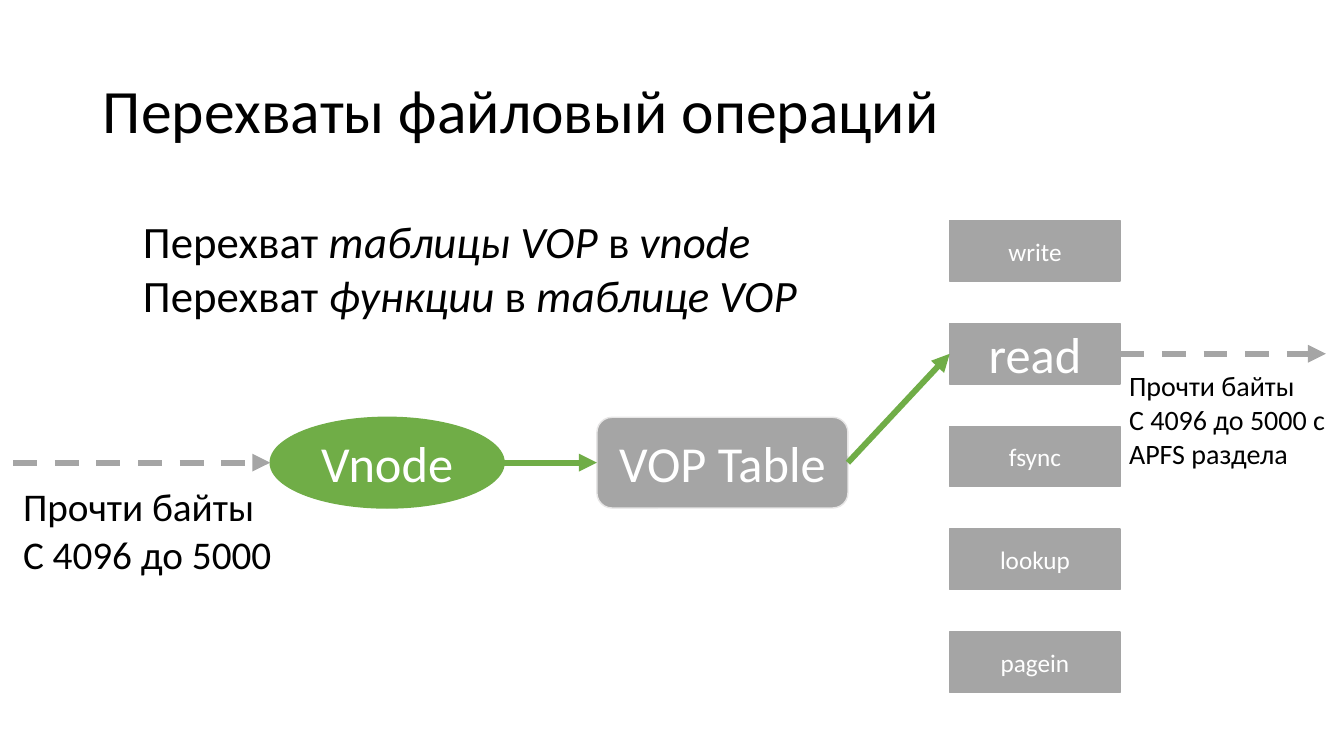
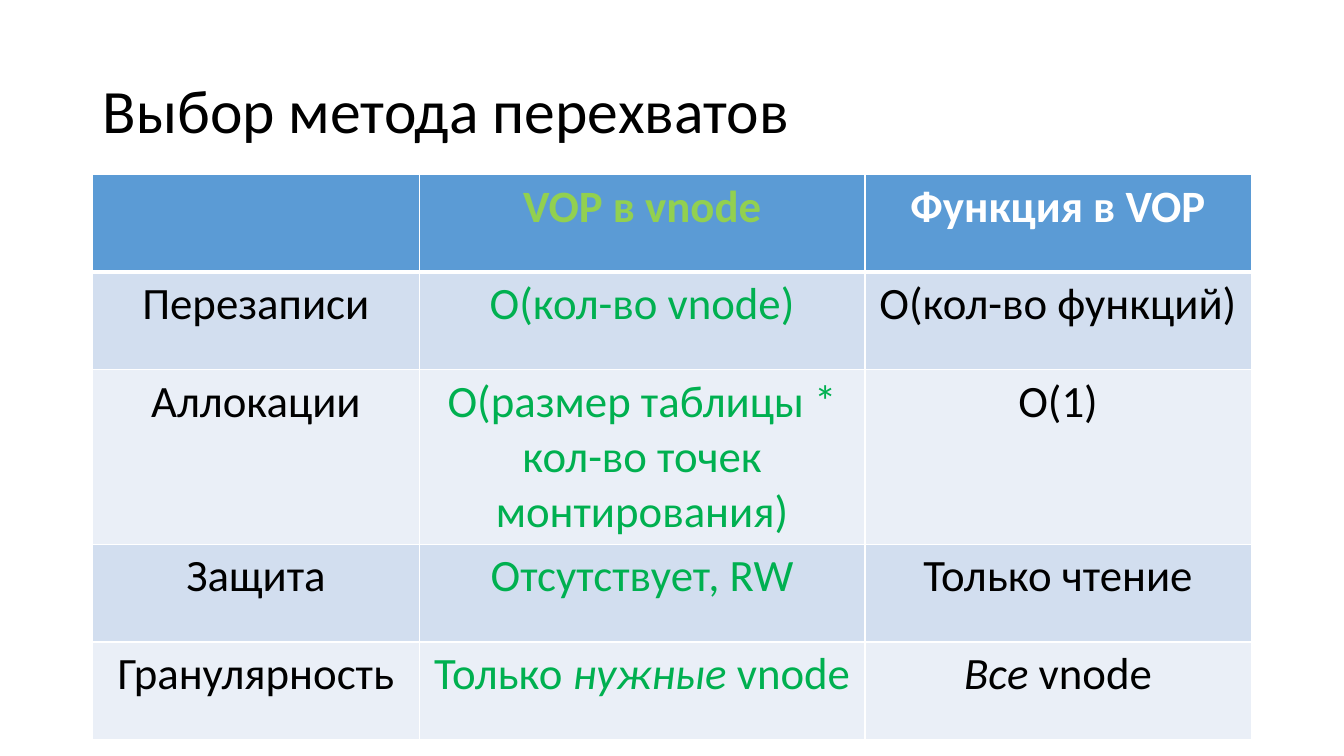
from pptx import Presentation
from pptx.dml.color import RGBColor
from pptx.enum.dml import MSO_LINE
from pptx.enum.shapes import MSO_CONNECTOR, MSO_SHAPE
from pptx.enum.text import MSO_ANCHOR, MSO_AUTO_SIZE, PP_ALIGN
from pptx.oxml import parse_xml
from pptx.oxml.ns import nsdecls, qn
from pptx.util import Inches, Pt
from lxml.etree import SubElement

BLACK = RGBColor(0x00, 0x00, 0x00)
WHITE = RGBColor(0xFF, 0xFF, 0xFF)
GREEN = RGBColor(0x70, 0xAD, 0x47)
GRAY = RGBColor(0xA5, 0xA5, 0xA5)
PALE = RGBColor(0xE7, 0xE6, 0xE6)
BLUE = RGBColor(0x5B, 0x9B, 0xD5)
LIME = RGBColor(0x92, 0xD0, 0x50)
LEAF = RGBColor(0x00, 0xB0, 0x50)
BAND = RGBColor(0xD2, 0xDE, 0xEF)
MIST = RGBColor(0xEA, 0xEF, 0xF7)

TITLES = ["Перехваты файловый операций", "Выбор метода перехватов"]


def write(frame, text, size, color, align=PP_ALIGN.LEFT, bold=False):
    """Fill a text frame; text between underscores is italic."""
    for row, line in enumerate(text.split("\n")):
        para = frame.add_paragraph() if row else frame.paragraphs[0]
        para.alignment = align
        for part, words in enumerate(line.split("_")):
            if not words:
                continue
            run = para.add_run()
            run.text = words
            style = {"name": "Calibri", "size": Pt(size), "bold": bold, "italic": part % 2 == 1}
            for key, value in style.items():
                setattr(run.font, key, value)
            run.font.color.rgb = color


deck = Presentation()
deck.slide_width, deck.slide_height = Inches(13.33), Inches(7.5)

# Titled slides
for text in TITLES:
    slide = deck.slides.add_slide(deck.slide_layouts[5])
    title = slide.shapes.title
    place = {"left": 0.92, "top": 0.4, "width": 11.5, "height": 1.45}
    for key, value in place.items():
        setattr(title, key, Inches(value))
    title.text_frame.vertical_anchor = MSO_ANCHOR.MIDDLE
    write(title.text_frame, text, 44, BLACK)
    title.text_frame.paragraphs[0].line_spacing = 0.9
flow, choice = deck.slides

# Nodes and the column of file operations
nodes = [
    ("Vnode", MSO_SHAPE.OVAL, 2.68, 4.14, 2.32, 0.9, GREEN, GREEN, 36),
    ("VOP Table", MSO_SHAPE.ROUNDED_RECTANGLE, 5.92, 4.14, 2.49, 0.9, GRAY, PALE, 36),
]
for row, name in enumerate(["write", "read", "fsync", "lookup", "pagein"]):
    size = 36 if name == "read" else 18
    top = 2.19 + 1.02 * row
    nodes.append((name, MSO_SHAPE.RECTANGLE, 9.42, top, 1.69, 0.6, GRAY, GRAY, size))

boxes = {}
for name, kind, left, top, width, height, fill, edge, size in nodes:
    box = flow.shapes.add_shape(kind, Inches(left), Inches(top), Inches(width), Inches(height))
    box.shadow.inherit = False
    box.fill.solid()
    box.fill.fore_color.rgb = fill
    box.line.color.rgb = edge
    box.line.width = Pt(1)
    box.text_frame.vertical_anchor = MSO_ANCHOR.MIDDLE
    write(box.text_frame, name, size, WHITE, PP_ALIGN.CENTER)
    boxes[name] = box

# Arrows: ends, colour, dash, joined boxes with their sides
table, read = boxes["VOP Table"], boxes["read"]
arrows = [
    (0.13, 4.59, 2.68, 4.59, GRAY, True, None, None),
    (5, 4.59, 5.92, 4.59, GREEN, False, None, (table, 1)),
    (8.41, 4.59, 9.42, 3.51, GREEN, False, (table, 3), (read, 1)),
    (11.11, 3.51, 13.15, 3.51, GRAY, True, (read, 3), None),
]
for x1, y1, x2, y2, color, dashed, start, end in arrows:
    arrow = flow.shapes.add_connector(
        MSO_CONNECTOR.STRAIGHT, Inches(x1), Inches(y1), Inches(x2), Inches(y2))
    if start:
        arrow.begin_connect(*start)
    if end:
        arrow.end_connect(*end)
    arrow.line.color.rgb = color
    arrow.line.width = Pt(4.25)
    if dashed:
        arrow.line.dash_style = MSO_LINE.DASH
    SubElement(arrow.line._get_or_add_ln(), qn("a:tailEnd"), type="triangle")
    SubElement(arrow._element.spPr, qn("a:effectLst"))

# Captions
notes = [
    ("Прочти байты\nС 4096 до 5000", 0.13, 4.74, 2.71, 1.04, 28),
    ("Прочти байты\nС 4096 до 5000 с APFS раздела", 11.1, 3.61, 2.23, 1.11, 20),
    ("Перехват _таблицы VOP _в _vnode_\nПерехват _функции_ в _таблице VOP_",
     1.32, 2.07, 7.67, 1.18, 32),
]
for text, left, top, width, height, size in notes:
    note = flow.shapes.add_textbox(Inches(left), Inches(top), Inches(width), Inches(height))
    note.text_frame.word_wrap = True
    note.text_frame.auto_size = MSO_AUTO_SIZE.SHAPE_TO_FIT_TEXT
    write(note.text_frame, text, size, BLACK)

# Comparison table
data = [
    ["", "VOP в vnode", "Функция в VOP"],
    ["Перезаписи", "O(кол-во vnode)", "O(кол-во функций)"],
    ["Аллокации", "O(размер таблицы * кол-во точек монтирования)", "O(1)"],
    ["Защита", "Отсутствует, RW", "Только чтение"],
    ["Гранулярность", "Только _нужные _vnode", "_Все _vnode"],
]
grid = choice.shapes.add_table(
    5, 3, Inches(0.92), Inches(1.73), Inches(11.5), Inches(4.85)).table
for col, width in zip(grid.columns, [3.24, 4.42, 3.83]):
    col.width = Inches(width)
for row, texts in enumerate(data):
    grid.rows[row].height = Inches(0.97)
    head = row == 0
    for col, text in enumerate(texts):
        cell = grid.cell(row, col)
        cell.fill.solid()
        cell.fill.fore_color.rgb = BLUE if head else BAND if row % 2 else MIST
        if col == 1:
            color = LIME if head else LEAF
        else:
            color = WHITE if head else BLACK
        write(cell.text_frame, text, 32, color, PP_ALIGN.CENTER, head)
        # White borders, thicker under the header
        thick = {"L": 1, "R": 1, "T": 3 if row == 1 else 1, "B": 3 if head else 1}
        for spot, (side, width) in enumerate(thick.items()):
            cell._tc.get_or_add_tcPr().insert(spot, parse_xml(
                f'<a:ln{side} {nsdecls("a")} w="{Pt(width)}"><a:solidFill>'
                f'<a:srgbClr val="{WHITE}"/></a:solidFill></a:ln{side}>'))

deck.save("out.pptx")
